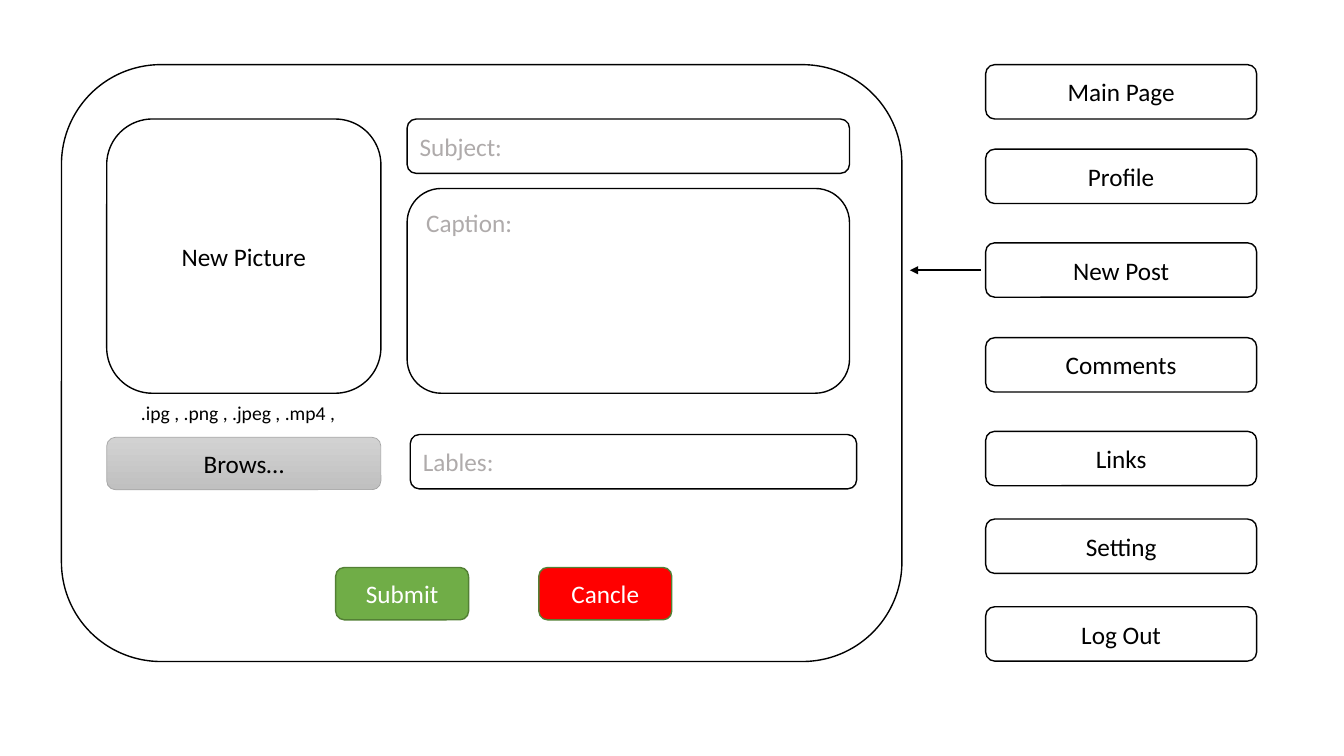
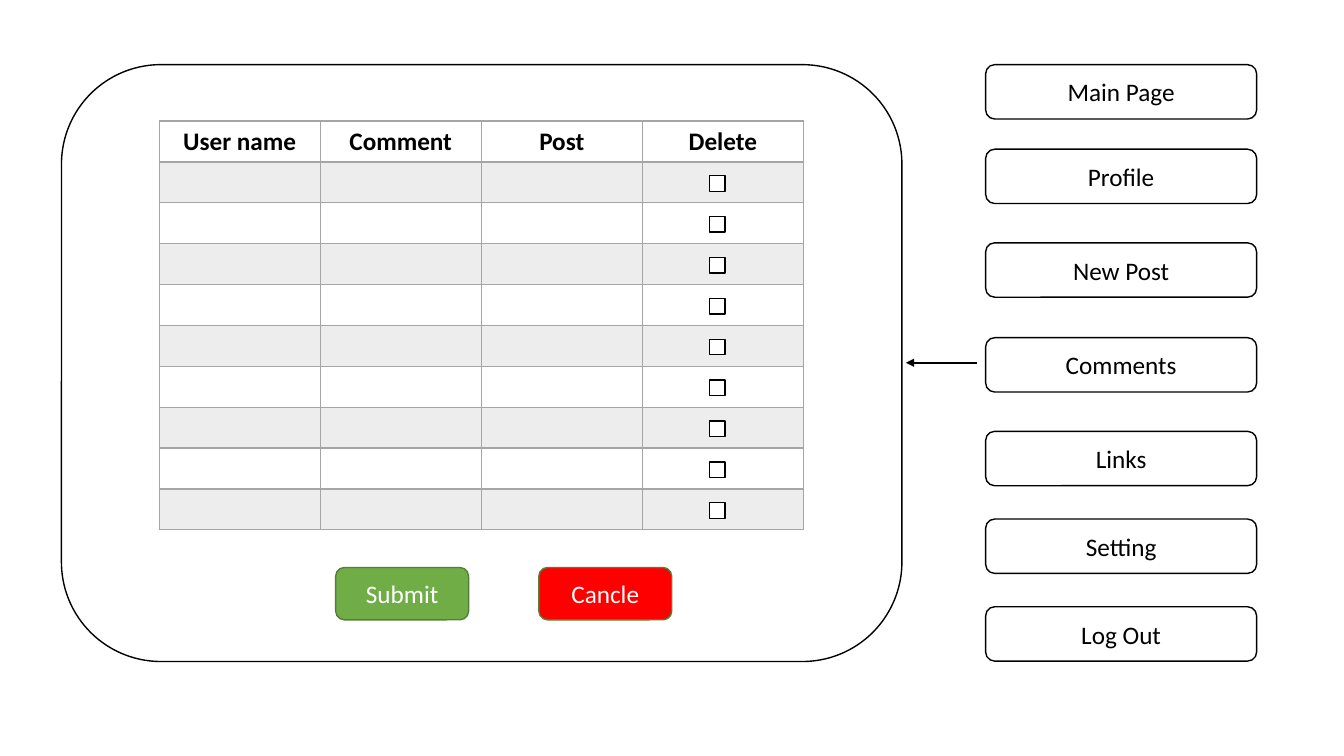
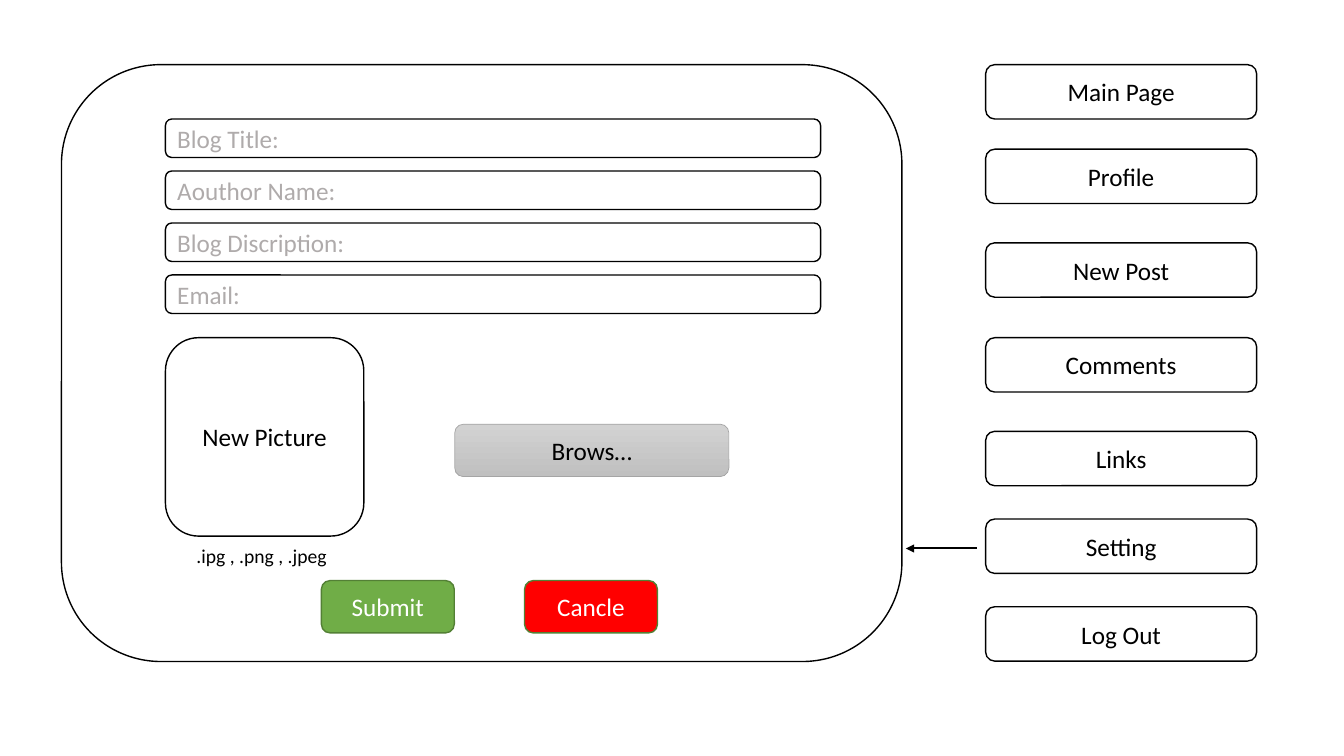
import dataclasses

import lxml.etree
import pptx
import pptx.dml.color
import pptx.enum.shapes
import pptx.enum.text
import pptx.oxml
import pptx.oxml.ns
import pptx.util

Cm = pptx.util.Cm
Pt = pptx.util.Pt
Color = pptx.dml.color.RGBColor.from_string
Shape = pptx.enum.shapes.MSO_SHAPE
Align = pptx.enum.text.PP_ALIGN
Anchor = pptx.enum.text.MSO_ANCHOR
qn = pptx.oxml.ns.qn


@dataclasses.dataclass(frozen=True)
class Theme:
    """Colours, font, type sizes and line widths of the deck."""
    font: str = "Calibri"
    body: int = 18
    small: int = 14
    ink: str = "000000"
    paper: str = "FFFFFF"
    hint: str = "AFABAB"
    green: str = "70AD47"
    red: str = "FF0000"
    button_edge: str = "538035"
    grey_edge: str = "A5A5A5"
    band: str = "EDEDED"
    browse: tuple = ("D2D2D2", "C0C0C0")
    thin: float = 0.5
    line: float = 1
    heavy: float = 2
    arrow: float = 1.5


theme = Theme()
PLAIN = {"fill": theme.paper, "edge": theme.ink, "width": theme.line,
         "color": theme.ink, "size": theme.body, "align": Align.CENTER}
FIELD = PLAIN | {"color": theme.hint, "align": Align.LEFT}
SUBMIT = PLAIN | {"fill": theme.green, "edge": theme.button_edge, "color": theme.paper}
CANCEL = SUBMIT | {"fill": theme.red}
BROWSE = PLAIN | {"fill": theme.browse, "edge": theme.grey_edge, "width": theme.thin}
NOTE = PLAIN | {"fill": None, "size": theme.small, "align": Align.LEFT}
HINT = NOTE | {"color": theme.hint, "size": theme.body}


def write_text(frame, text, style, bold=False):
    """Write one formatted paragraph into a text frame."""
    para = frame.paragraphs[0]
    para.alignment = style["align"]
    span = para.add_run()
    span.text = text
    span.font.color.rgb = Color(style["color"])
    formats = {"name": theme.font, "size": Pt(style["size"]), "bold": bold}
    for name, value in formats.items():
        setattr(span.font, name, value)


def add_box(slide, place, text, style, kind=Shape.ROUNDED_RECTANGLE):
    """Add a shape, or a text box when the style has no fill; place is in cm."""
    area = [Cm(length) for length in place]
    fill = style["fill"]
    if fill is None:
        box = slide.shapes.add_textbox(*area)
    else:
        box = slide.shapes.add_shape(kind, *area)
        box.shadow.inherit = False
        box.line.color.rgb = Color(style["edge"])
        box.line.width = Pt(style["width"])
        if isinstance(fill, tuple):
            box.fill.gradient()
            box.fill.gradient_angle = 270
            for stop, color in zip(box.fill.gradient_stops, fill):
                stop.color.rgb = Color(color)
        else:
            box.fill.solid()
            box.fill.fore_color.rgb = Color(fill)
    anchor = Anchor.TOP if fill is None else Anchor.MIDDLE
    for name, value in {"word_wrap": True, "vertical_anchor": anchor}.items():
        setattr(box.text_frame, name, value)
    if text:
        write_text(box.text_frame, text, style)


deck = pptx.Presentation()
deck.slide_width, deck.slide_height = Cm(33.87), Cm(19.05)

# Shared frame: menu, panel, arrow from the active entry, two buttons
MENU = {"Main Page": 1.63, "Profile": 3.76, "New Post": 6.12, "Comments": 8.51,
        "Links": 10.87, "Setting": 13.08, "Log Out": 15.29}
BUTTON_STEP = 5.12
# Arrow start and height, then the left and top of the first button
PAGES = [(24.71, 6.81, 8.46, 14.3), (24.61, 9.14, 8.46, 14.3), (24.61, 13.82, 8.1, 14.63)]
slides = []
for arrow_left, arrow_top, button_left, button_top in PAGES:
    slide = deck.slides.add_slide(deck.slide_layouts[6])
    slides.append(slide)
    for label, top in MENU.items():
        add_box(slide, (24.84, top, 6.83, 1.37), label, PLAIN)
    add_box(slide, (1.55, 1.63, 21.18, 15.04), "", PLAIN)

    arrow = slide.shapes.add_connector(
        pptx.enum.shapes.MSO_CONNECTOR.STRAIGHT,
        Cm(arrow_left), Cm(arrow_top), Cm(arrow_left - 1.78), Cm(arrow_top))
    arrow.line.color.rgb = Color(theme.ink)
    arrow.line.width = Pt(theme.arrow)
    line = arrow.line._get_or_add_ln()
    lxml.etree.SubElement(line, qn("a:tailEnd"), type="triangle")
    lxml.etree.SubElement(arrow._element.spPr, qn("a:effectLst"))

    for index, (label, style) in enumerate([("Submit", SUBMIT), ("Cancle", CANCEL)]):
        left = button_left + index * BUTTON_STEP
        add_box(slide, (left, button_top, 3.35, 1.32), label, style)

post, comments, setting = slides

# New post form
add_box(post, (2.69, 3, 6.91, 6.91), "New Picture", PLAIN)
add_box(post, (3.3, 9.98, 5.72, 0.86), ".ipg , .png , .jpeg , .mp4 ,", NOTE)
add_box(post, (2.69, 11.02, 6.91, 1.32), "Brows…", BROWSE)
add_box(post, (10.26, 3, 11.15, 1.37), "Subject:", FIELD)
add_box(post, (10.26, 4.75, 11.15, 5.16), "", PLAIN)
add_box(post, (10.34, 10.95, 11.25, 1.37), "Lables:", FIELD)
add_box(post, (10.49, 5.11, 3.76, 1.02), "Caption:", HINT)

# Comments table with a delete checkbox in each row
HEADINGS = ["User name", "Comment", "Post", "Delete"]
ROWS = 10
COLUMN_WIDTH, ROW_HEIGHT = 4.06, 1.03
table = comments.shapes.add_table(
    ROWS, len(HEADINGS), Cm(4.01), Cm(3.05),
    Cm(COLUMN_WIDTH * len(HEADINGS)), Cm(ROW_HEIGHT * ROWS)).table
table.horz_banding = False
for column in table.columns:
    column.width = Cm(COLUMN_WIDTH)
for index, row in enumerate(table.rows):
    row.height = Cm(ROW_HEIGHT)
    for cell in row.cells:
        cell.fill.solid()
        cell.fill.fore_color.rgb = Color(theme.band if index % 2 else theme.paper)
        properties = cell._tc.get_or_add_tcPr()
        for order, side in enumerate("LRTB"):
            under_heading = (index, side) in [(0, "B"), (1, "T")]
            width = Pt(theme.heavy if under_heading else theme.line)
            border = lxml.etree.Element(qn("a:ln" + side), w=str(width))
            paint = lxml.etree.SubElement(border, qn("a:solidFill"))
            lxml.etree.SubElement(paint, qn("a:srgbClr"), val=theme.grey_edge)
            properties.insert(order, border)
for cell, heading in zip(table.rows[0].cells, HEADINGS):
    write_text(cell.text_frame, heading, PLAIN, bold=True)
for index in range(ROWS - 1):
    top = 4.43 + index * ROW_HEIGHT
    add_box(comments, (17.88, top, 0.39, 0.39), "", PLAIN, Shape.RECTANGLE)

# Blog settings form
FIELDS = ["Blog Title:", "Aouthor Name:", "Blog Discription:", "Email:"]
for index, label in enumerate(FIELDS):
    add_box(setting, (4.17, 3 + index * 1.31, 16.51, 0.97), label, FIELD)
add_box(setting, (4.17, 8.51, 5, 5), "New Picture", PLAIN)
add_box(setting, (4.7, 13.59, 5.72, 0.86), ".ipg , .png , .jpeg", NOTE)
add_box(setting, (11.46, 10.69, 6.91, 1.32), "Brows…", BROWSE)

deck.save("out.pptx")
